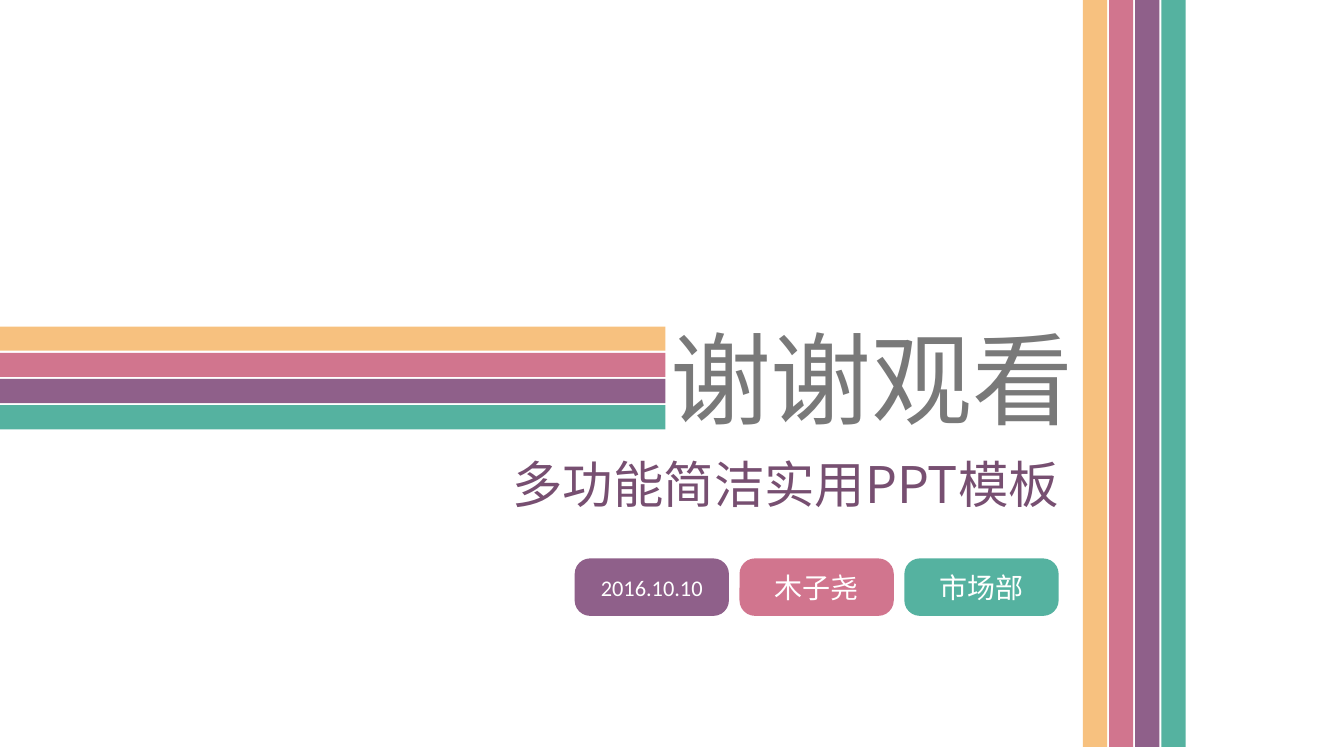
from lxml.etree import SubElement
from pptx import Presentation
from pptx.dml.color import RGBColor
from pptx.enum.shapes import MSO_SHAPE as Shape
from pptx.enum.text import MSO_ANCHOR as Anchor, PP_ALIGN as Align
from pptx.oxml.ns import qn
from pptx.util import Inches, Pt

ORANGE, PINK, PURPLE, GREEN = "F7C17F", "D1758E", "8F608A", "55B2A0"
STRIPES = [ORANGE, PINK, PURPLE, GREEN]
CJK_FONT = "Noto Sans CJK SC"


def color(hex_code):
    return RGBColor.from_string(hex_code)


def write(frame, text, size, fill, font=CJK_FONT, align=Align.CENTER):
    frame.word_wrap = True
    frame.vertical_anchor = Anchor.MIDDLE
    para = frame.paragraphs[0]
    para.alignment = align
    span = para.add_run()
    span.text = text
    span.font.size = Pt(size)
    span.font.name = font
    span.font.color.rgb = color(fill)
    # East Asian glyphs need their own typeface entry
    SubElement(span.font._element, qn("a:ea"), typeface=CJK_FONT)


def add_block(page, kind, left, top, width, height, fill):
    block = page.shapes.add_shape(
        kind, Inches(left), Inches(top), Inches(width), Inches(height))
    block.shadow.inherit = False
    block.fill.solid()
    block.fill.fore_color.rgb = color(fill)
    block.line.fill.background()
    return block


def add_label(page, left, top, width, height, text, **style):
    box = page.shapes.add_textbox(
        Inches(left), Inches(top), Inches(width), Inches(height))
    write(box.text_frame, text, **style)


def add_stripes(page, left, top, length, vertical=False, thickness=0.24, pitch=0.26):
    for index, fill in enumerate(STRIPES):
        offset = index * pitch
        if vertical:
            add_block(page, Shape.RECTANGLE, left + offset, top, thickness, length, fill)
        else:
            add_block(page, Shape.RECTANGLE, left, top + offset, length, thickness, fill)


def add_headings(page, right, top):
    add_label(page, right - 4.25, top, 4.59, 1.31, "谢谢观看",
              size=72, fill="797979", font="Calibri")
    add_label(page, right - 5.96, top + 1.35, 5.96, 0.71, "多功能简洁实用PPT模板",
              size=36, fill="774F71", align=Align.RIGHT)


def add_badges(page, left, top, width=1.53, height=0.57, pitch=1.635):
    badges = [("2016.10.10", PURPLE, 16, "Calibri"),
              ("木子尧", PINK, 20, CJK_FONT),
              ("市场部", GREEN, 20, CJK_FONT)]
    for index, (text, fill, size, font) in enumerate(badges):
        badge = add_block(page, Shape.ROUNDED_RECTANGLE, left + index * pitch, top,
                          width, height, fill)
        badge.adjustments[0] = 0.27
        write(badge.text_frame, text, size=size, fill="FFFFFF", font=font)


def main():
    deck = Presentation()
    deck.slide_width, deck.slide_height = Inches(13.33), Inches(7.5)
    page = deck.slides.add_slide(deck.slide_layouts[6])

    # Horizontal and vertical bands
    add_stripes(page, 0, 3.24, 6.6)
    add_stripes(page, 10.74, 0, 7.41, vertical=True)
    # Closing words and badges
    add_headings(page, 10.6, 3.09)
    add_badges(page, 5.7, 5.54)

    deck.save("out.pptx")


if __name__ == "__main__":
    main()
